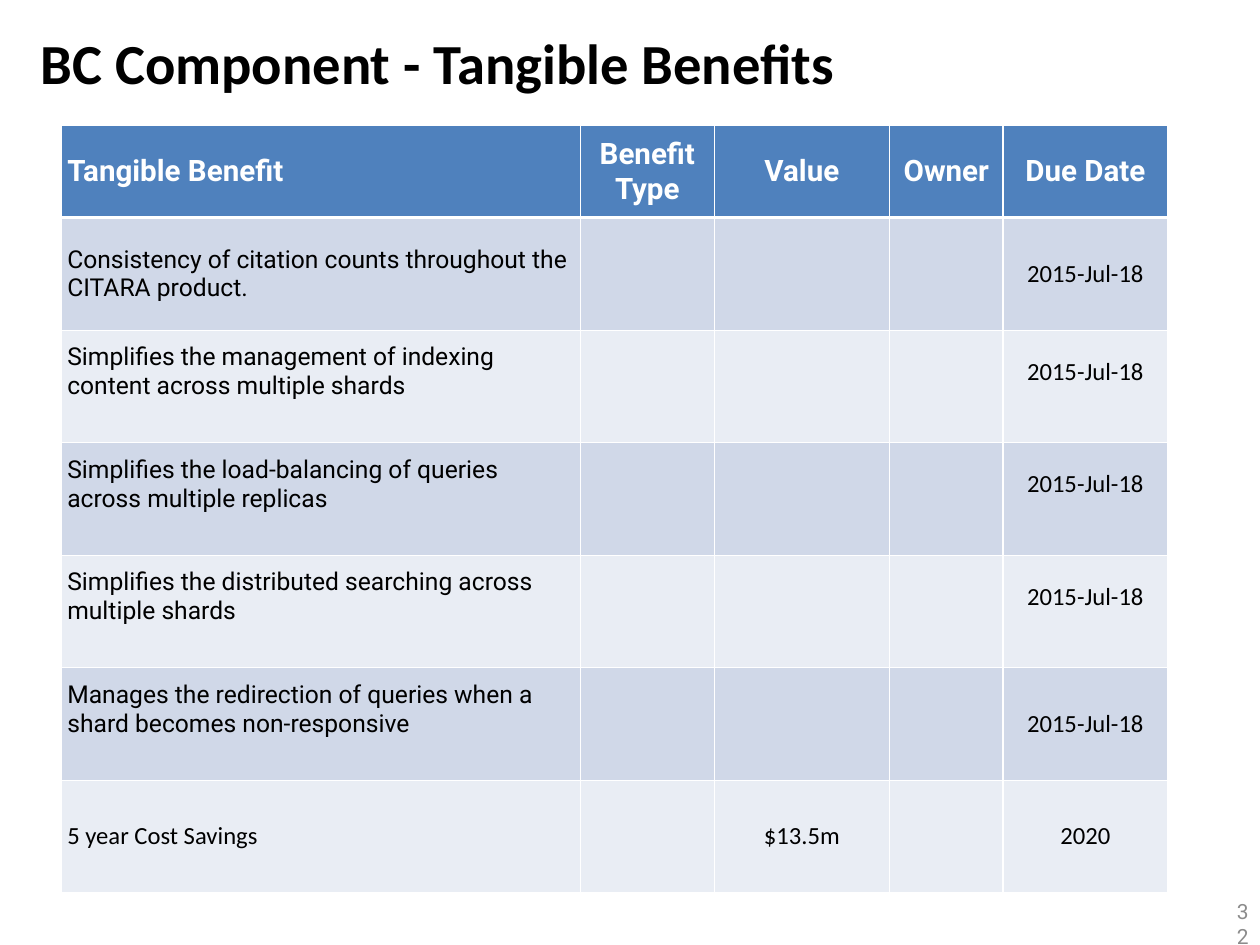
from dataclasses import dataclass

from lxml import etree
from pptx import Presentation
from pptx.dml.color import RGBColor
from pptx.enum import shapes, text
from pptx.oxml import ns
from pptx.util import Inches, Pt


@dataclass(frozen=True)
class Theme:
    heading: str = "Calibri"
    body: str = "Roboto"
    black: str = "000000"
    white: str = "FFFFFF"
    grey: str = "8C8C8C"
    header_fill: str = "4F81BD"
    bands: tuple = ("D0D8E8", "E9EDF4")
    title_size: int = 46
    header_size: int = 24
    cell_size: int = 20
    number_size: int = 17


theme = Theme()


def add_run(paragraph, words, font, size, color, bold=False):
    run = paragraph.add_run()
    run.text = words
    run.font.name = font
    run.font.size = Pt(size)
    run.font.bold = bold
    run.font.color.rgb = RGBColor.from_string(color)


def add_border(cell, side, points):
    properties = cell._tc.get_or_add_tcPr()
    line = etree.SubElement(properties, ns.qn(f"a:ln{side}"), w=str(Pt(points)))
    fill = etree.SubElement(line, ns.qn("a:solidFill"))
    etree.SubElement(fill, ns.qn("a:srgbClr"), val=theme.white)


prs = Presentation()
prs.slide_width, prs.slide_height = Inches(14.22), Inches(10.67)
slide = prs.slides.add_slide(prs.slide_layouts[5])

# Title
title = slide.shapes.title
title.left, title.top = Inches(0.36), Inches(0)
title.width, title.height = Inches(13.86), Inches(1.42)
heading = title.text_frame
heading.auto_size = text.MSO_AUTO_SIZE.NONE
heading.vertical_anchor = text.MSO_ANCHOR.MIDDLE
heading.margin_left = heading.margin_right = Inches(0.1)
heading.margin_top, heading.margin_bottom = Inches(0.05), Inches(0.07)
heading.paragraphs[0].alignment = text.PP_ALIGN.LEFT
add_run(heading.paragraphs[0], "BC Component - Tangible Benefits",
        theme.heading, theme.title_size, theme.black, bold=True)

# Page number
page_number = slide.shapes.add_shape(
    shapes.MSO_SHAPE.OVAL, Inches(13.75), Inches(10.19), Inches(0.47), Inches(0.47))
page_number.shadow.inherit = False
page_number.fill.background()
page_number.line.fill.background()
number_frame = page_number.text_frame
number_frame.word_wrap = True
number_frame.vertical_anchor = text.MSO_ANCHOR.MIDDLE
number_frame.margin_left = number_frame.margin_right = Inches(0.14)
number_frame.margin_top = number_frame.margin_bottom = Inches(0.07)
number_frame.paragraphs[0].alignment = text.PP_ALIGN.RIGHT
add_run(number_frame.paragraphs[0], "32", theme.body, theme.number_size, theme.grey)

# Benefits table
due = "2015-Jul-18"
benefits = [
    ("Tangible Benefit", "Benefit Type", "Value", "Owner", "Due Date"),
    ("Consistency of citation counts throughout the CITARA product.", "", "", "", due),
    ("Simplifies the management of indexing content across multiple shards", "", "", "", due),
    ("Simplifies the load-balancing of queries across multiple replicas", "", "", "", due),
    ("Simplifies the distributed searching across multiple shards", "", "", "", due),
    ("Manages the redirection of queries when a shard becomes non-responsive", "", "", "", due),
    ("5 year Cost Savings", "", "$13.5m", "", "2020"),
]
raised_cells = {(2, 0), (2, 4), (3, 0), (3, 4), (4, 0), (4, 4), (5, 0)}
column_widths = [5.86, 1.51, 1.98, 1.28, 1.86]
last_row = len(benefits) - 1

table = slide.shapes.add_table(
    len(benefits), len(column_widths),
    Inches(0.69), Inches(1.42), Inches(12.5), Inches(8.69)).table
table.horz_banding = False
for column, width in zip(table.columns, column_widths):
    column.width = Inches(width)

for r, benefit in enumerate(benefits):
    is_header = r == 0
    table.rows[r].height = Inches(1.04 if is_header else 1.27)
    for c, words in enumerate(benefit):
        cell = table.cell(r, c)
        for side, points in (("L", 1), ("R", 1), ("T", 3 if r == 1 else 1),
                             ("B", 3 if is_header else 1)):
            add_border(cell, side, points)
        cell.fill.solid()
        cell.fill.fore_color.rgb = RGBColor.from_string(
            theme.header_fill if is_header else theme.bands[(r - 1) % 2])
        cell.vertical_anchor = text.MSO_ANCHOR.MIDDLE
        cell.margin_left = cell.margin_right = Inches(0.07)
        cell.margin_top = Inches(0.04)
        cell.margin_bottom = Inches(0.37 if (r, c) in raised_cells else 0.04)
        if not words:
            continue
        paragraph = cell.text_frame.paragraphs[0]
        paragraph.alignment = text.PP_ALIGN.CENTER if c else text.PP_ALIGN.LEFT
        if is_header:
            add_run(paragraph, words, theme.body, theme.header_size, theme.white, bold=True)
        else:
            font = theme.heading if c or r == last_row else theme.body
            add_run(paragraph, words, font, theme.cell_size, theme.black)

prs.save("out.pptx")
